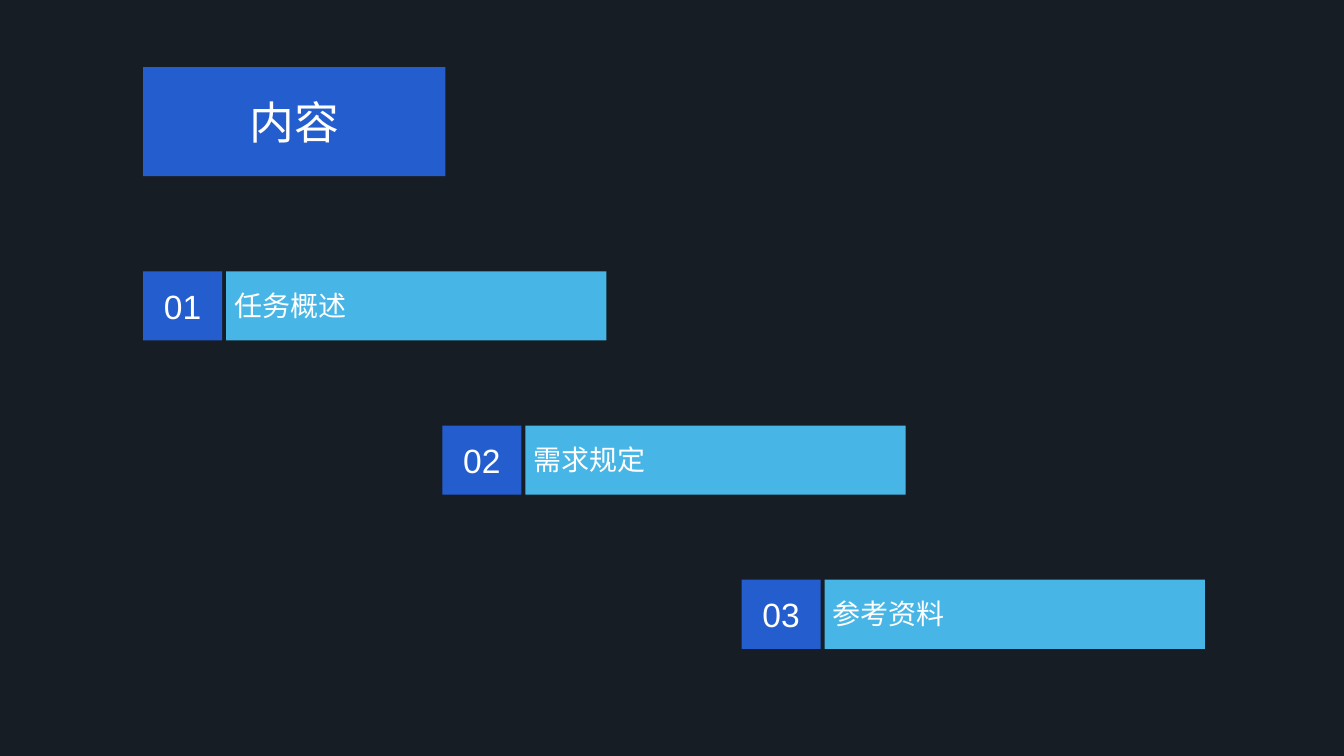
from pptx import Presentation
from pptx.dml.color import RGBColor
from pptx.enum.shapes import MSO_SHAPE
from pptx.enum.text import MSO_ANCHOR, MSO_AUTO_SIZE, PP_ALIGN
from pptx.util import Pt

RECTANGLE = MSO_SHAPE.RECTANGLE
MIDDLE = MSO_ANCHOR.MIDDLE
NO_AUTOSIZE = MSO_AUTO_SIZE.NONE
LEFT, CENTER = PP_ALIGN.LEFT, PP_ALIGN.CENTER

EMU_PER_PX = 9080
TITLE_ONLY = 5
COLORS = {"background": "171D25", "accent": "245ECE", "bar": "47B6E7", "text": "FFFFFF"}


def px(value):
    return value * EMU_PER_PX


class SlideBuilder:
    font_name = "Arial"

    def __init__(self, presentation):
        self.slide = presentation.slides.add_slide(presentation.slide_layouts[TITLE_ONLY])
        self.paint(self.slide.background.fill, "background")

    def paint(self, fill, color):
        fill.solid()
        fill.fore_color.rgb = RGBColor.from_string(COLORS[color])

    def label(self, shape, text, size, align, margins):
        """Margins are left, top, right, bottom in px."""
        frame = shape.text_frame
        left, top, right, bottom = map(px, margins)
        frame_format = {
            "margin_left": left, "margin_top": top,
            "margin_right": right, "margin_bottom": bottom,
            "vertical_anchor": MIDDLE, "word_wrap": True, "auto_size": NO_AUTOSIZE,
        }
        for name, value in frame_format.items():
            setattr(frame, name, value)
        paragraph = frame.paragraphs[0]
        paragraph.alignment = align
        run = paragraph.add_run()
        run.text = text
        for name, value in {"name": self.font_name, "size": Pt(size), "bold": False}.items():
            setattr(run.font, name, value)
        run.font.color.rgb = RGBColor.from_string(COLORS["text"])

    def title(self, text, box, size):
        shape = self.slide.shapes.title
        shape.left, shape.top, shape.width, shape.height = map(px, box)
        self.paint(shape.fill, "accent")
        self.label(shape, text, size, CENTER, (10, 5, 10, 5))

    def block(self, group, box, color, text, size, align, margins):
        shape = group.shapes.add_shape(RECTANGLE, *map(px, box))
        shape.shadow.inherit = False
        shape.line.fill.background()
        self.paint(shape.fill, color)
        self.label(shape, text, size, align, margins)

    def agenda_item(self, number, text, left, top):
        group = self.slide.shapes.add_group_shape()
        self.block(group, (left, top, 79, 69), "accent", number, 24, CENTER, (0, 0, 0, 0))
        self.block(group, (left + 83, top, 380, 69), "bar", text, 20, LEFT, (8, 0, 0, 1))


def main():
    presentation = Presentation()
    presentation.slide_width, presentation.slide_height = px(1343), px(755)
    builder = SlideBuilder(presentation)

    # Title
    builder.title("内容", (143, 67, 302, 109), 32)

    # Agenda items descending in steps
    for index, text in enumerate(("任务概述", "需求规定", "参考资料")):
        builder.agenda_item(f"{index + 1:02}", text, 143 + 299 * index, 271 + 154 * index)

    presentation.save("out.pptx")


if __name__ == "__main__":
    main()
